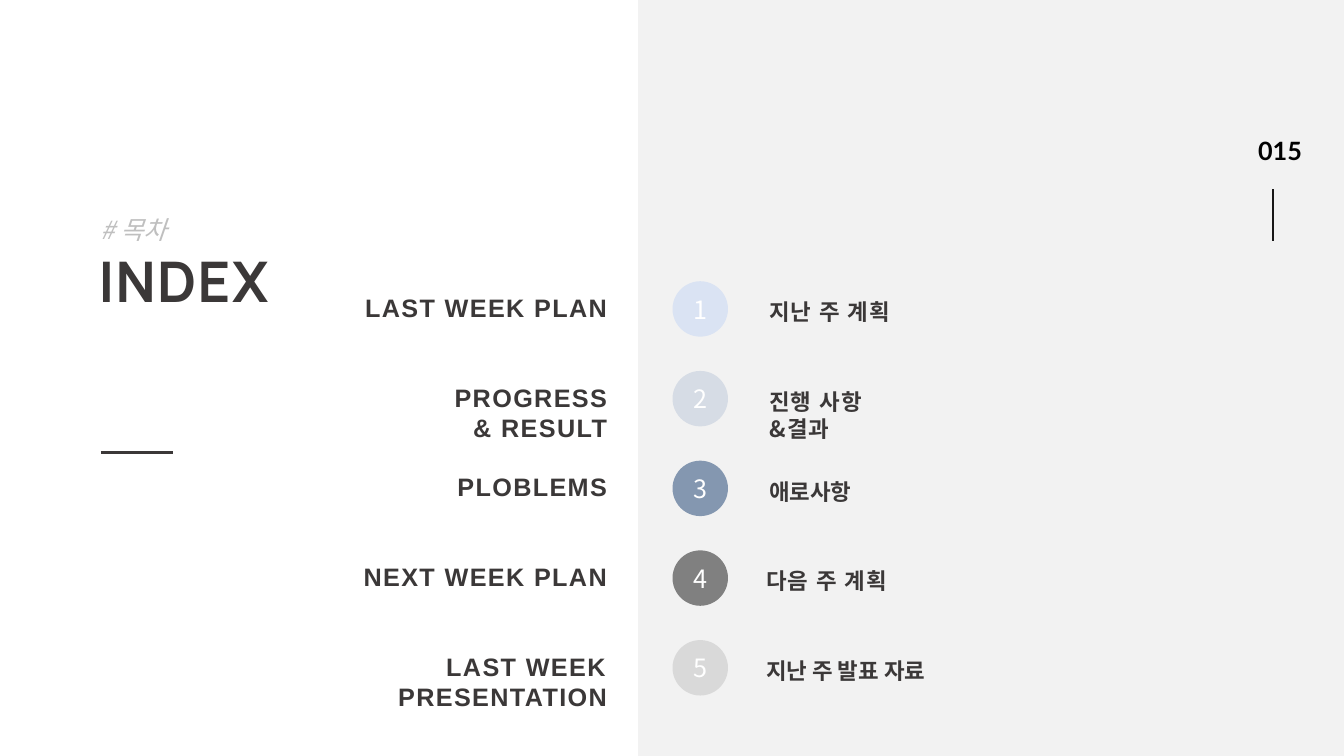
from dataclasses import dataclass

from lxml.etree import SubElement
from pptx import Presentation
from pptx.dml.color import RGBColor
from pptx.enum.shapes import MSO_CONNECTOR as Connector, MSO_SHAPE as Shape
from pptx.enum.text import MSO_ANCHOR as Anchor, PP_ALIGN as Align
from pptx.oxml.ns import qn
from pptx.util import Inches, Pt


@dataclass(frozen=True)
class Theme:
    panel: str = "F2F2F2"
    dark: str = "3B3838"
    pale: str = "BFBFBF"
    black: str = "000000"
    page_rule: str = "181717"
    white: str = "FFFFFF"
    circles: tuple = ("DAE3F3", "D6DCE5", "8497B0", "808080", "D9D9D9")
    korean: str = "Noto Sans CJK KR"
    latin: str = "Arial"
    title: str = "Manrope"
    number: str = "Lato"
    title_size: int = 40
    label_size: int = 18
    korean_size: int = 16


THEME = Theme()
ROW_PITCH = 0.89

# English lines, Korean lines, Korean left offset, Korean letter spacing
TOPICS = [
    (["LAST WEEK PLAN"], ["지난 주 계획"], 0.86, 1),
    (["PROGRESS", "& RESULT"], ["진행 사항", "&결과"], 0.86, 1),
    (["PLOBLEMS"], ["애로사항"], 0.86, 0),
    (["NEXT WEEK PLAN"], ["다음 주 계획"], 0.83, 1),
    (["LAST WEEK PRESENTATION"], ["지난 주 발표 자료"], 0.83, 0),
]


def write(frame, lines, font, size, color, bold=False, italic=False,
          spacing=0, align=Align.LEFT, line_spacing=None):
    """Fill a text frame with one paragraph per line; spacing is in points."""
    for index, line in enumerate(lines):
        para = frame.add_paragraph() if index else frame.paragraphs[0]
        para.text = line
        para.alignment = align
        if line_spacing:
            para.line_spacing = line_spacing
        style = para.font
        style.size, style.bold, style.italic = Pt(size), bold, italic
        style.color.rgb = RGBColor.from_string(color)
        style.name = font
        properties = para._p.pPr.find(qn("a:defRPr"))
        SubElement(properties, qn("a:ea"), typeface=font)
        if spacing:
            properties.set("spc", str(spacing * 100))


def add_text(page, left, top, width, height, lines, *style, wrap=True, **options):
    box = page.shapes.add_textbox(*map(Inches, (left, top, width, height)))
    box.text_frame.word_wrap = wrap
    write(box.text_frame, lines, *style, **options)


def add_filled(page, kind, left, top, width, height, color):
    shape = page.shapes.add_shape(kind, *map(Inches, (left, top, width, height)))
    shape.shadow.inherit = False
    shape.fill.solid()
    shape.fill.fore_color.rgb = RGBColor.from_string(color)
    shape.line.fill.background()
    return shape


def add_rule(page, left, top, right, bottom, color, weight):
    rule = page.shapes.add_connector(
        Connector.STRAIGHT, *map(Inches, (left, top, right, bottom)))
    rule.line.color.rgb = RGBColor.from_string(color)
    rule.line.width = Pt(weight)
    SubElement(rule._element.spPr, qn("a:effectLst"))


def add_side_panel(page, left, top, width, height):
    """Grey panel with the page number and its rule near the right edge."""
    add_filled(page, Shape.RECTANGLE, left, top, width, height, THEME.panel)
    add_text(page, left + 6.05, top + 1.29, 0.64, 0.4, ["015"], THEME.number,
             THEME.label_size, THEME.black, bold=True, wrap=False)
    rule_x = left + 6.3
    add_rule(page, rule_x, top + 1.88, rule_x, top + 2.39, THEME.page_rule, 1.5)


def add_heading(page, left, top):
    add_text(page, left, top + 0.34, 3.55, 1.48, ["INDEX"], THEME.title,
             THEME.title_size, THEME.dark, bold=True, spacing=1, line_spacing=0.9)
    add_rule(page, left + 0.12, top + 2.36, left + 0.84, top + 2.36, THEME.dark, 2.75)
    add_text(page, left + 0.02, top, 4.33, 0.41, ["# 목차"], THEME.korean,
             THEME.label_size, THEME.pale, italic=True, line_spacing=Pt(18))


def add_topic(page, left, top, number, color, english, korean, offset, spacing):
    """Numbered circle at left, top with English before it and Korean after it."""
    circle = add_filled(page, Shape.OVAL, left, top, 0.55, 0.55, color)
    frame = circle.text_frame
    frame.margin_left = frame.margin_right = 0
    frame.vertical_anchor = Anchor.MIDDLE
    write(frame, [str(number)], THEME.korean, THEME.label_size, THEME.white,
          align=Align.CENTER)
    add_text(page, left - 3.86, top + 0.06, 3.31, 0.1 + 0.3 * len(english), english,
             THEME.latin, THEME.label_size, THEME.dark, bold=True, spacing=1,
             align=Align.RIGHT)
    add_text(page, left + offset, top + 0.12, 2.67, 0.1 + 0.27 * len(korean), korean,
             THEME.korean, THEME.korean_size, THEME.dark, bold=True, spacing=spacing)


def add_topics(page, left, top):
    for index, (topic, color) in enumerate(zip(TOPICS, THEME.circles)):
        add_topic(page, left, top + index * ROW_PITCH, index + 1, color, *topic)


def main():
    deck = Presentation()
    deck.slide_width, deck.slide_height = Inches(13.33), Inches(7.5)
    page = deck.slides.add_slide(deck.slide_layouts[6])
    add_side_panel(page, 6.33, 0, 7, 7.5)
    add_heading(page, 0.88, 2.13)
    add_topics(page, 6.67, 2.79)
    deck.save("out.pptx")


if __name__ == "__main__":
    main()
